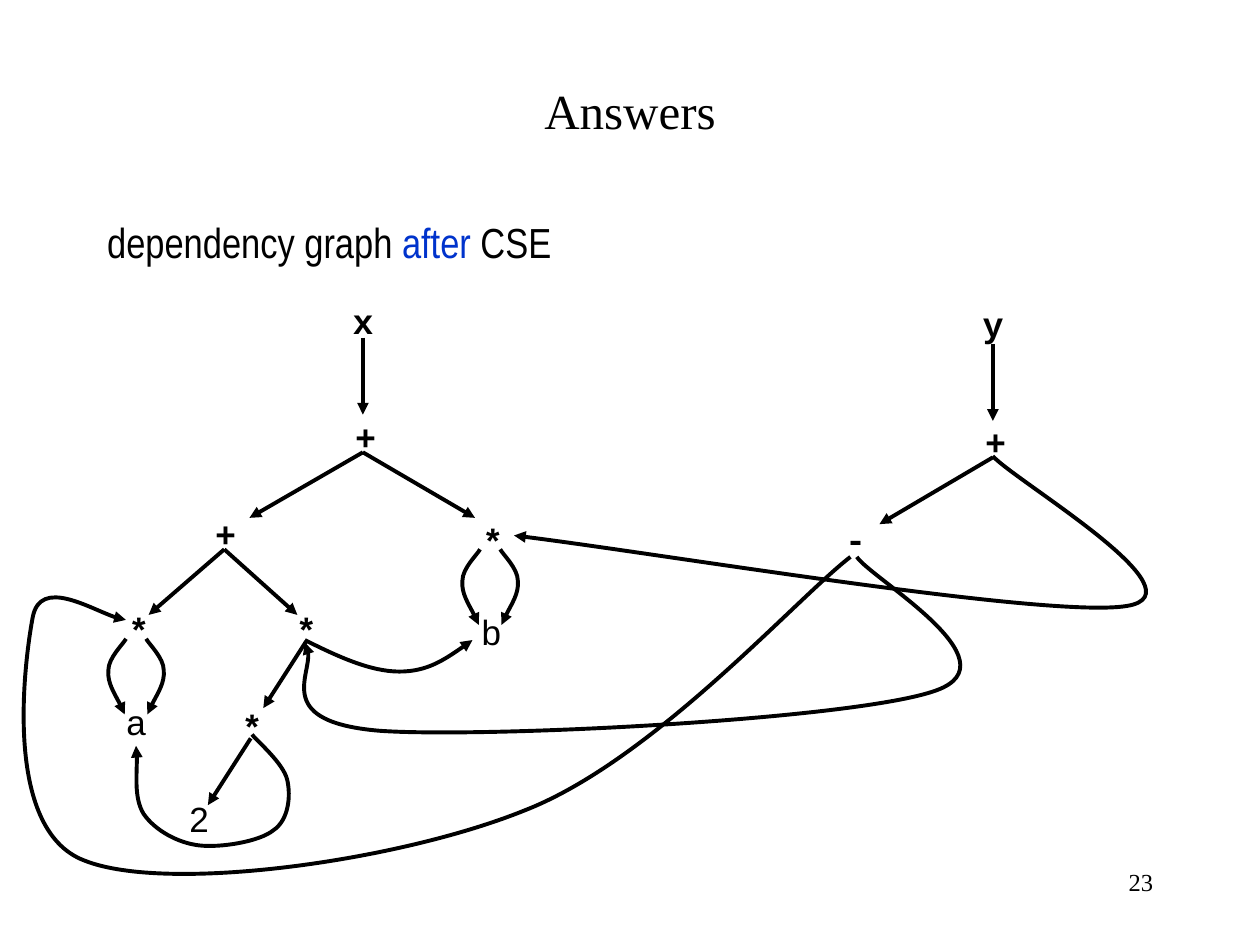
"""Build the slide showing a dependency graph after common subexpression elimination."""
import pptx
import pptx.util
import pptx.dml.color
import pptx.enum.shapes
import pptx.enum.text
import pptx.oxml
import pptx.oxml.ns
from pptx.util import Inches

THEME = {
    "ink": pptx.dml.color.RGBColor.from_string("000000"),
    "accent": pptx.dml.color.RGBColor.from_string("0033CC"),
    "title": ("Times New Roman", 28),
    "body": ("Arial Narrow", 24),
    "operator": ("Courier New", 20),
    "leaf": ("Arial", 20),
    "number": ("Times New Roman", 14),
    "stroke": 2.25,
}

TITLE = "Answers"
STATEMENT = [("dependency graph ", "ink"), ("after", "accent"), (" CSE", "ink")]
PAGE_NUMBER = "23"

OPERATORS = [
    ("x", 2.7, 2.33), ("+", 2.72, 3.25), ("+", 1.61, 4.02), ("*", 3.73, 4.07),
    ("*", 0.92, 4.78), ("*", 2.25, 4.78), ("*", 1.82, 5.55),
    ("y", 7.7, 2.35), ("+", 7.72, 3.29), ("-", 6.61, 4.06),
]
LEAVES = [("a", 0.9, 5.51), ("b", 3.72, 4.8), ("2", 1.4, 6.28)]
NODE_SIZE = (0.36, 0.44)

BRANCHES = [
    ((2.88, 2.68), [(2.88, 3.29)]),
    ((2.88, 3.59), [(1.98, 4.11), (3.77, 4.11)]),
    ((1.78, 4.36), [(1.18, 4.88), (2.36, 4.88)]),
    ((2.43, 5.09), [(2.09, 5.62)]),
    ((1.99, 5.86), [(1.65, 6.39)]),
    ((7.88, 2.73), [(7.88, 3.34)]),
    ((7.88, 3.63), [(6.98, 4.16)]),
]

SQUARE_AXES = [(1.08, 5.07), (3.89, 4.36)]
SQUARE_ARC = [(0.08, 0), (0.1, 0.04), (0.22, 0.15), (0.22, 0.25),
              (0.23, 0.35), (0.12, 0.52), (0.09, 0.6)]

SHARED_ARCS = [
    [(2.42, 5.08), (2.68, 5.21), (2.94, 5.33), (3.17, 5.33),
     (3.39, 5.33), (3.57, 5.21), (3.75, 5.08)],
    [(2, 5.83), (2.05, 5.89), (2.25, 6.06), (2.28, 6.19),
     (2.31, 6.32), (2.29, 6.51), (2.17, 6.59),
     (2.06, 6.68), (1.75, 6.73), (1.58, 6.71),
     (1.41, 6.69), (1.23, 6.59), (1.14, 6.46),
     (1.06, 6.33), (1.1, 6.03), (1.08, 5.92)],
    [(7.88, 3.62), (8.06, 3.82), (9.58, 4.71), (8.94, 4.81),
     (8.31, 4.91), (5.1, 4.37), (4.08, 4.25)],
    [(6.8, 4.42), (6.91, 4.59), (8.07, 5.25), (7.43, 5.48),
     (6.8, 5.71), (3.85, 5.86), (3.01, 5.8),
     (2.18, 5.73), (2.54, 5.25), (2.42, 5.1)],
    [(6.75, 4.42), (6.32, 4.75), (5.19, 6.03), (4.17, 6.43),
     (3.16, 6.84), (1.32, 7.09), (0.67, 6.83),
     (0.01, 6.58), (0.2, 5.22), (0.26, 4.9),
     (0.32, 4.58), (0.85, 4.91), (1, 4.92)],
]


def write(paragraph, runs, style, align, bold=False):
    paragraph.alignment = align
    paragraph.space_before = pptx.util.Pt(0)
    for wording, colour in runs:
        run = paragraph.add_run()
        run.text = wording
        run.font.name, size = THEME[style]
        run.font.size = pptx.util.Pt(size)
        run.font.bold = bold
        run.font.color.rgb = THEME[colour]


def place(holder, left, top, width, height):
    holder.left, holder.top = Inches(left), Inches(top)
    holder.width, holder.height = Inches(width), Inches(height)


def add_node(slide, wording, left, top, style):
    node = slide.shapes.add_textbox(Inches(left), Inches(top), *map(Inches, NODE_SIZE))
    node.text_frame.word_wrap = False
    node.text_frame.auto_size = pptx.enum.text.MSO_AUTO_SIZE.SHAPE_TO_FIT_TEXT
    write(node.text_frame.paragraphs[0], [(wording, "ink")], style,
          pptx.enum.text.PP_ALIGN.CENTER, bold=style == "operator")


def style_arrow(arrow):
    arrow.line.color.rgb = THEME["ink"]
    arrow.line.width = pptx.util.Pt(THEME["stroke"])
    outline = arrow.line._get_or_add_ln()
    outline.append(pptx.oxml.parse_xml(
        f'<a:tailEnd {pptx.oxml.ns.nsdecls("a")} type="triangle"/>'))


def add_branch(slide, parent, child):
    branch = slide.shapes.add_connector(
        pptx.enum.shapes.MSO_CONNECTOR.STRAIGHT, *map(Inches, parent + child))
    style_arrow(branch)
    branch._element.spPr.append(pptx.oxml.parse_xml(
        f'<a:effectLst {pptx.oxml.ns.nsdecls("a")}/>'))


def add_arc(slide, points):
    start, *controls = [(Inches(x), Inches(y)) for x, y in points]
    builder = slide.shapes.build_freeform(*start)
    builder.add_line_segments(controls, close=False)
    arc = builder.convert_to_shape()
    arc.fill.background()
    arc.shadow.inherit = False
    style_arrow(arc)
    segments = arc._element.spPr.findall(".//" + pptx.oxml.ns.qn("a:lnTo"))
    outline = segments[0].getparent()
    for first in range(0, len(segments), 3):
        bezier = pptx.oxml.parse_xml(f'<a:cubicBezTo {pptx.oxml.ns.nsdecls("a")}/>')
        for segment in segments[first:first + 3]:
            bezier.append(segment[0])
            outline.remove(segment)
        outline.append(bezier)


def main():
    deck = pptx.Presentation()
    deck.slide_width, deck.slide_height = Inches(10), Inches(7.5)
    slide = deck.slides.add_slide(deck.slide_layouts[1])
    align = pptx.enum.text.PP_ALIGN

    heading, statement = slide.placeholders
    place(heading, 0.75, 0.25, 8.5, 1.25)
    heading.text_frame.vertical_anchor = pptx.enum.text.MSO_ANCHOR.MIDDLE
    write(heading.text_frame.paragraphs[0], [(TITLE, "ink")], "title", align.CENTER)

    place(statement, 0.75, 1.67, 8.5, 5)
    sentence = statement.text_frame.paragraphs[0]
    write(sentence, STATEMENT, "body", align.LEFT)
    properties = sentence._p.get_or_add_pPr()
    properties.set("marL", str(Inches(0.38)))
    properties.set("indent", str(Inches(-0.38)))
    properties.append(pptx.oxml.parse_xml(f'<a:buNone {pptx.oxml.ns.nsdecls("a")}/>'))

    page = slide.shapes.add_textbox(Inches(7.17), Inches(6.83), Inches(2.08), Inches(0.5))
    page.text_frame.word_wrap = True
    write(page.text_frame.paragraphs[0], [(PAGE_NUMBER, "ink")], "number", align.RIGHT)

    for style, nodes in (("operator", OPERATORS), ("leaf", LEAVES)):
        for node in nodes:
            add_node(slide, *node, style)
    for parent, children in BRANCHES:
        for child in children:
            add_branch(slide, parent, child)
    square_arcs = [[(axis + side * dx, top + dy) for dx, dy in SQUARE_ARC]
                   for axis, top in SQUARE_AXES for side in (1, -1)]
    for points in square_arcs + SHARED_ARCS:
        add_arc(slide, points)

    deck.save("out.pptx")


if __name__ == "__main__":
    main()
